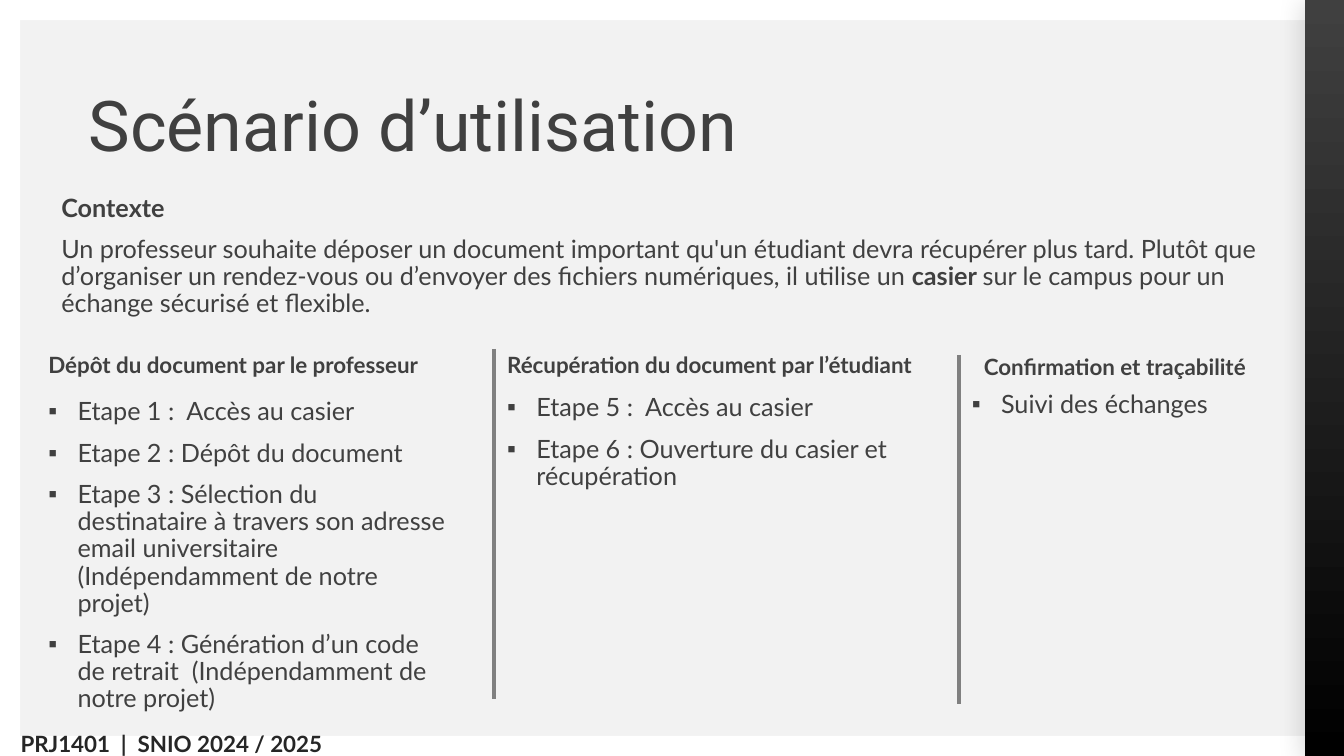
from dataclasses import dataclass

from lxml import etree
from pptx import Presentation
from pptx.dml.color import RGBColor
from pptx.enum.shapes import MSO_CONNECTOR, MSO_SHAPE
from pptx.enum.text import MSO_ANCHOR, MSO_AUTO_SIZE, PP_ALIGN
from pptx.oxml import parse_xml
from pptx.oxml.ns import nsdecls, qn
from pptx.util import Inches, Pt

RECTANGLE = MSO_SHAPE.RECTANGLE
STRAIGHT = MSO_CONNECTOR.STRAIGHT
LEFT, CENTER = PP_ALIGN.LEFT, PP_ALIGN.CENTER
TOP, MIDDLE = MSO_ANCHOR.TOP, MSO_ANCHOR.MIDDLE
NO_AUTOFIT = MSO_AUTO_SIZE.NONE

WIDTH, HEIGHT = 13.33, 7.5
MARGIN = 0.2
PANEL_WIDTH = 0.39
COMPARISON_LAYOUT = 4


@dataclass(frozen=True)
class Theme:
    background: str = "F2F2F2"
    frame: str = "FFFFFF"
    panel_top: str = "404040"
    panel_bottom: str = "000000"
    text: str = "404040"
    footer: str = "262626"
    divider: str = "808080"
    title_font: str = "Roboto"
    body_font: str = "Lato"
    title_size: int = 50
    body_size: int = 18
    heading_size: int = 16
    divider_width: int = 3
    bullet_indent: float = 0.29
    line_spacing: float = 0.9
    space_before: int = 10


def set_bullet(para, indent):
    """Give the paragraph a square bullet, or none when indent is zero."""
    properties = para._p.get_or_add_pPr()
    properties.set("marL", str(Inches(indent)))
    properties.set("indent", str(-Inches(indent)))
    if indent:
        etree.SubElement(properties, qn("a:buFont")).set("typeface", "Arial")
        etree.SubElement(properties, qn("a:buChar")).set("char", "▪")
    else:
        etree.SubElement(properties, qn("a:buNone"))


def write(box, paragraphs, *, font, size, color, bold=False, align=LEFT,
          anchor=TOP, inset=None, indent=0, spacing=0.9, before=0):
    """Fill the box; a paragraph is a string or a list of (text, bold) runs."""
    frame = box.text_frame
    frame.word_wrap = True
    frame.auto_size = NO_AUTOFIT
    frame.vertical_anchor = anchor
    if inset is not None:
        frame.margin_left = frame.margin_right = Inches(inset)
        frame.margin_top = frame.margin_bottom = Inches(inset)
    for number, content in enumerate(paragraphs):
        para = frame.add_paragraph() if number else frame.paragraphs[0]
        para.alignment = align
        para.line_spacing = spacing
        para.space_before = Pt(before)
        set_bullet(para, indent)
        runs = [(content, bold)] if isinstance(content, str) else content
        for text, is_bold in runs:
            span = para.add_run()
            span.text = text
            span.font.name = font
            span.font.size = Pt(size)
            span.font.bold = is_bold
            span.font.color.rgb = RGBColor.from_string(color)


class SlideBuilder:
    def __init__(self, slide, theme):
        self.slide = slide
        self.theme = theme

    def background(self):
        fill = self.slide.background.fill
        fill.solid()
        fill.fore_color.rgb = RGBColor.from_string(self.theme.background)

    def bar(self, left, top, width, height):
        bar = self.slide.shapes.add_shape(
            RECTANGLE, Inches(left), Inches(top), Inches(width), Inches(height))
        bar.shadow.inherit = False
        bar.line.fill.background()
        bar.fill.solid()
        bar.fill.fore_color.rgb = RGBColor.from_string(self.theme.frame)
        return bar

    def panel(self, left, top, width, height):
        """Add the dark gradient band with its soft shadow."""
        panel = self.bar(left, top, width, height)
        panel.fill.gradient()
        panel.fill.gradient_angle = 270
        colors = (self.theme.panel_top, self.theme.panel_bottom)
        for stop, color in zip(panel.fill.gradient_stops, colors):
            stop.color.rgb = RGBColor.from_string(color)
        effects = panel._element.spPr.find(qn("a:effectLst"))
        effects.append(parse_xml(
            f'<a:outerShdw {nsdecls("a")} blurRad="{Pt(18)}" dist="{Pt(3)}" '
            f'dir="8100000" algn="tr" rotWithShape="0">'
            f'<a:srgbClr val="{self.theme.panel_bottom}">'
            f'<a:alpha val="15000"/></a:srgbClr></a:outerShdw>'))

    def text(self, place, paragraphs, placeholder=None, **overrides):
        """Write in a layout placeholder, or in a new text box if none is given."""
        left, top, width, height = map(Inches, place)
        if placeholder is None:
            box = self.slide.shapes.add_textbox(left, top, width, height)
        else:
            box = self.slide.placeholders[placeholder]
            box.left, box.top, box.width, box.height = left, top, width, height
        style = dict(font=self.theme.body_font, size=self.theme.body_size,
                     color=self.theme.text, spacing=self.theme.line_spacing,
                     before=self.theme.space_before)
        write(box, paragraphs, **{**style, **overrides})

    def title(self, place, text):
        self.text(place, [text], placeholder=0, font=self.theme.title_font,
                  size=self.theme.title_size, anchor=MIDDLE, inset=0, before=0)

    def heading(self, place, text, placeholder=None):
        self.text(place, [text], placeholder,
                  size=self.theme.heading_size, bold=True)

    def bullets(self, place, items, placeholder=None):
        self.text(place, items, placeholder, indent=self.theme.bullet_indent)

    def footer(self, place, text):
        self.text(place, [text], size=self.theme.heading_size, bold=True,
                  color=self.theme.footer, align=CENTER, inset=0)

    def divider(self, x, top, bottom):
        line = self.slide.shapes.add_connector(
            STRAIGHT, Inches(x), Inches(top), Inches(x), Inches(bottom))
        line.line.color.rgb = RGBColor.from_string(self.theme.divider)
        line.line.width = Pt(self.theme.divider_width)
        etree.SubElement(line._element.spPr, qn("a:effectLst"))


CONTEXT = [
    [("Contexte", True)],
    [("Un professeur souhaite déposer un document important qu'un étudiant "
      "devra récupérer plus tard. Plutôt que d’organiser un rendez-vous ou "
      "d’envoyer des fichiers numériques, il utilise un ", False),
     ("casier ", True),
     ("sur le campus pour un échange sécurisé et flexible.", False)],
]

# Heading, heading place, items, list place, heading and list placeholders
COLUMNS = [
    ("Dépôt du document par le professeur", (0.38, 3.46, 4.13, 0.41),
     ["Etape 1 :  Accès au casier",
      "Etape 2 : Dépôt du document",
      "Etape 3 : Sélection du destinataire à travers son adresse email "
      "universitaire (Indépendamment de notre projet)",
      "Etape 4 : Génération d’un code de retrait  (Indépendamment de notre "
      "projet)"],
     (0.38, 3.91, 4.16, 3.18), 1, 2),
    ("Récupération du document par l’étudiant", (4.93, 3.46, 4.58, 0.41),
     ["Etape 5 :  Accès au casier",
      "Etape 6 : Ouverture du casier et récupération"],
     (4.93, 3.87, 4.16, 1.22), 3, 4),
    ("Confirmation et traçabilité", (9.66, 3.48, 3.11, 0.41),
     ["Suivi des échanges"],
     (9.54, 3.84, 3.22, 0.63), None, None),
]


def main():
    deck = Presentation()
    deck.slide_width, deck.slide_height = Inches(WIDTH), Inches(HEIGHT)
    page = deck.slides.add_slide(deck.slide_layouts[COMPARISON_LAYOUT])
    builder = SlideBuilder(page, Theme())

    builder.background()
    builder.bar(0, HEIGHT - MARGIN, WIDTH, MARGIN)
    builder.bar(0, 0, WIDTH, MARGIN)
    builder.panel(WIDTH - PANEL_WIDTH, 0, PANEL_WIDTH, HEIGHT)
    builder.bar(0, 0, MARGIN, HEIGHT)

    builder.footer((-0.76, 7.27, 4.92, 0.96), "PRJ1401  |  SNIO 2024 / 2025")
    builder.title((0.88, 0.88, 6.56, 0.79), "Scénario d’utilisation")
    builder.text((0.51, 1.89, 12.08, 1.53), CONTEXT)
    for heading, heading_place, items, list_place, head_id, list_id in COLUMNS:
        builder.heading(heading_place, heading, head_id)
        builder.bullets(list_place, items, list_id)
    builder.divider(4.9, 3.46, 6.93)
    builder.divider(9.51, 3.52, 6.98)

    deck.save("out.pptx")


if __name__ == "__main__":
    main()
